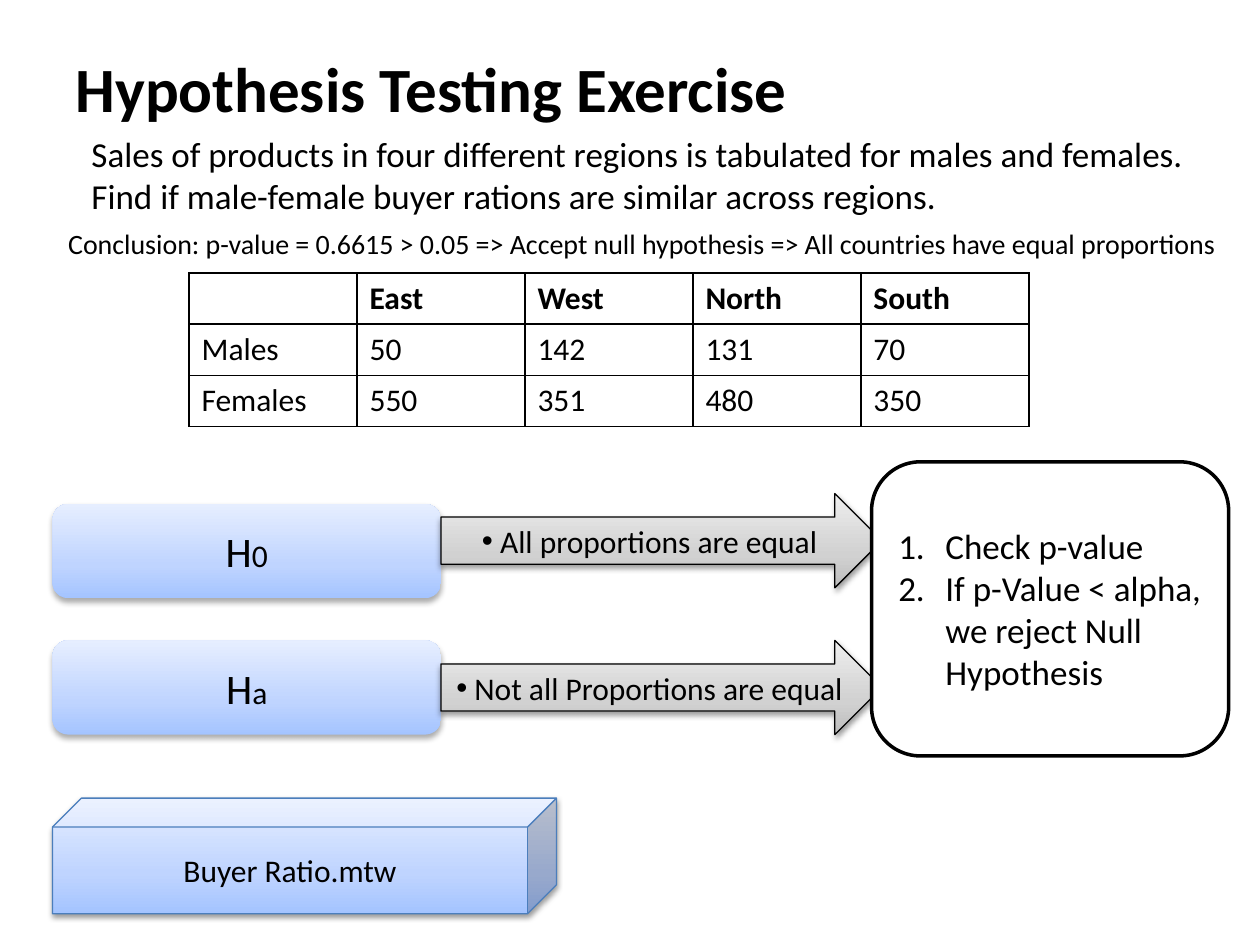
from dataclasses import dataclass

from lxml import etree
from pptx import Presentation
from pptx import util as u
from pptx.dml.color import RGBColor
from pptx.enum import shapes, text
from pptx.oxml.ns import qn

BLACK = "000000"
BLUES = ((0, "A4C4FF"), (35, "BFD4FF"), (100, "E6EEFF"))
GREYS = ((0, "BDBDBD"), (35, "D1D1D1"), (100, "EEEEEE"))
MSO = shapes.MSO_SHAPE


@dataclass
class Block:
    kind: int
    box: tuple  # left, top, width, height in cm
    runs: tuple  # (text, size) pairs
    stops: tuple = BLUES
    line: str = ""
    bullet: bool = False


def color(value: str) -> RGBColor:
    return RGBColor.from_string(value)


def place(sp, box: tuple) -> None:
    sp.left, sp.top, sp.width, sp.height = map(u.Cm, box)


def add_run(p, content: str, size: float = 18, bold: bool = False, fill: str = BLACK) -> None:
    r = p.add_run()
    r.text = content
    r.font.name = "Calibri"
    r.font.size = u.Pt(size)
    r.font.bold = bold
    r.font.color.rgb = color(fill)


def set_list(p, left: float, hang: float, tag: str, **attrs) -> None:
    """Set the indents of a paragraph (cm) and its bullet element."""
    pPr = p._p.get_or_add_pPr()
    pPr.set("marL", str(u.Cm(left)))
    pPr.set("indent", str(u.Cm(hang)))
    if tag == "buChar":
        etree.SubElement(pPr, qn("a:buFont"), typeface="Arial")
    etree.SubElement(pPr, qn("a:" + tag), **attrs)


def add_color(parent, value: str):
    return etree.SubElement(parent, qn("a:srgbClr"), val=value)


def add_gradient(sp, stops: tuple) -> None:
    sp.fill.gradient()
    sp.fill.gradient_angle = 90
    gs_list = sp._element.spPr.find(".//" + qn("a:gsLst"))
    for gs in list(gs_list):
        gs_list.remove(gs)
    for pos, value in stops:
        add_color(etree.SubElement(gs_list, qn("a:gs"), pos=str(pos * 1000)), value)


def add_shadow(sp, alpha: int, blur: float, dist: float) -> None:
    effects = sp._element.spPr.find(qn("a:effectLst"))
    shadow = etree.SubElement(effects, qn("a:outerShdw"), blurRad=str(u.Pt(blur)),
                              dist=str(u.Pt(dist)), dir="5400000", rotWithShape="0")
    etree.SubElement(add_color(shadow, BLACK), qn("a:alpha"), val=str(alpha * 1000))


def add_shape(s, kind: int, box: tuple, line: str = "", width: float = 0.75):
    sp = s.shapes.add_shape(kind, *map(u.Cm, box))
    sp.shadow.inherit = False
    if line:
        sp.line.color.rgb = color(line)
        sp.line.width = u.Pt(width)
    else:
        sp.line.fill.background()
    sp.text_frame.word_wrap = True
    sp.text_frame.vertical_anchor = text.MSO_ANCHOR.MIDDLE
    return sp


def add_block(s, b: Block) -> None:
    sp = add_shape(s, b.kind, b.box, b.line)
    add_gradient(sp, b.stops)
    if b.line:
        add_shadow(sp, 38, 3.1, 1.6)
    else:
        add_shadow(sp, 32, 3.5, 2.2)
    p = sp.text_frame.paragraphs[0]
    p.alignment = text.PP_ALIGN.CENTER
    if b.bullet:
        set_list(p, 0, 0, "buChar", char="•")
    for content, size in b.runs:
        add_run(p, content, size)


def add_borders(cell) -> None:
    tcPr = cell._tc.get_or_add_tcPr()
    for i, side in enumerate(("lnL", "lnR", "lnT", "lnB")):
        ln = etree.Element(qn("a:" + side), w=str(u.Pt(1)))
        add_color(etree.SubElement(ln, qn("a:solidFill")), BLACK)
        tcPr.insert(i, ln)


def add_grid(s, rows: tuple, box: tuple) -> None:
    tbl = s.shapes.add_table(len(rows), len(rows[0]), *map(u.Cm, box)).table
    tbl.first_row = tbl.horz_banding = False
    for i, row in enumerate(rows):
        for j, value in enumerate(row):
            cell = tbl.cell(i, j)
            cell.fill.background()
            add_borders(cell)
            if value:
                add_run(cell.text_frame.paragraphs[0], value, bold=i == 0)


prs = Presentation()
prs.slide_width, prs.slide_height = u.Cm(25.4), u.Cm(19.05)
s = prs.slides.add_slide(prs.slide_layouts[1])

# Title
title = s.shapes.title
place(title, (1.27, 0.76, 22.86, 1.98))
title.text_frame.vertical_anchor = text.MSO_ANCHOR.MIDDLE
p = title.text_frame.paragraphs[0]
p.alignment = text.PP_ALIGN.LEFT
add_run(p, "Hypothesis Testing Exercise", 36, bold=True)

# Problem and conclusion
body = s.placeholders[1]
place(body, (0.64, 2.54, 24.33, 15.88))
tf = body.text_frame
tf.auto_size = text.MSO_AUTO_SIZE.NONE
statements = (
    ("Sales of products in four different regions is tabulated for males and females. "
     "Find if male-female buyer rations are similar across regions.", 20, 0.95),
    ("Conclusion: p-value = 0.6615 > 0.05 => Accept null hypothesis => "
     "All countries have equal proportions", 16, 0.48),
)
for i, (content, size, left) in enumerate(statements):
    p = tf.add_paragraph() if i else tf.paragraphs[0]
    p.space_before = u.Pt(6)
    set_list(p, left, 0, "buNone")
    add_run(p, content, size)

# Sales table
add_grid(s, (
    ("", "East", "West", "North", "South"),
    ("Males", "50", "142", "131", "70"),
    ("Females", "550", "351", "480", "350"),
), (3.81, 5.5, 16.93, 3.1))

# Hypotheses, their meaning and the data file
LEFT, MIDDLE, HEIGHT = 1.06, 8.89, 1.9
blocks = (
    Block(MSO.ROUNDED_RECTANGLE, (LEFT, 10.16, 7.83, HEIGHT), (("H", 24), ("0", 18))),
    Block(MSO.ROUNDED_RECTANGLE, (LEFT, 12.91, 7.83, HEIGHT), (("H", 24), ("a", 18))),
    Block(MSO.RIGHT_ARROW, (MIDDLE, 9.95, 8.89, HEIGHT),
          ((" All proportions are equal", 18),), GREYS, BLACK, True),
    Block(MSO.RIGHT_ARROW, (MIDDLE, 12.91, 8.89, HEIGHT),
          ((" Not all Proportions are equal", 18),), GREYS, BLACK, True),
    Block(MSO.CUBE, (LEFT, 16.09, 10.16, 2.33), (("Buyer Ratio.mtw", 18),), line="4B7EBC"),
)
for b in blocks:
    add_block(s, b)

# Decision rule
rule = add_shape(s, MSO.ROUNDED_RECTANGLE, (17.57, 9.31, 7.2, 5.93), BLACK, 2)
rule.fill.solid()
rule.fill.fore_color.rgb = color("FFFFFF")
tf = rule.text_frame
steps = ("Check p-value", "If p-Value < alpha, we reject Null Hypothesis")
for i, step in enumerate(steps):
    p = tf.add_paragraph() if i else tf.paragraphs[0]
    p.alignment = text.PP_ALIGN.LEFT
    set_list(p, 0.95, -0.95, "buAutoNum", type="arabicPeriod")
    add_run(p, step, 20)

prs.save("out.pptx")
